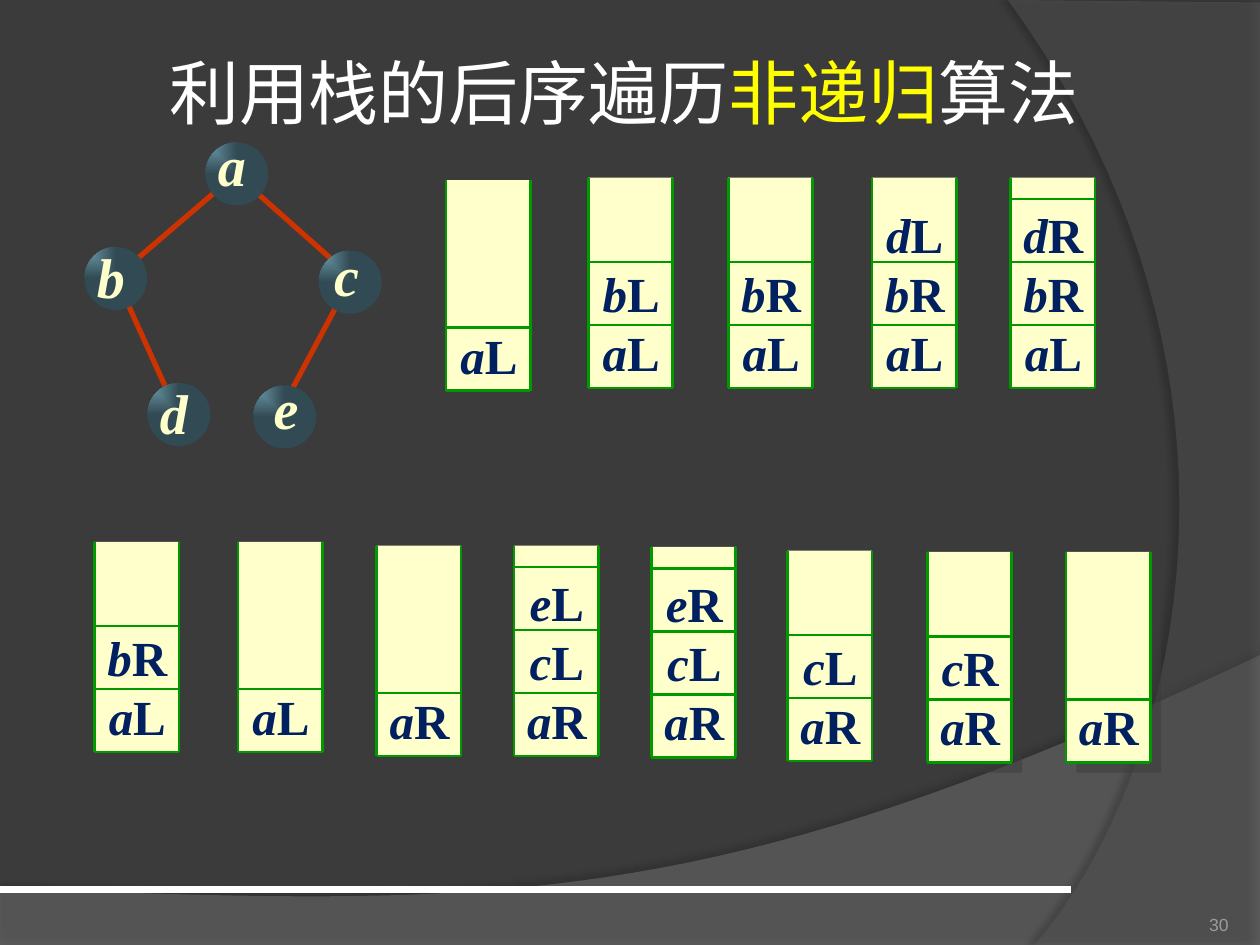
from dataclasses import dataclass

from lxml import etree
from pptx import Presentation
from pptx.dml.color import RGBColor
from pptx.enum.shapes import MSO_CONNECTOR, MSO_SHAPE
from pptx.enum.text import MSO_ANCHOR, PP_ALIGN
from pptx.oxml.ns import qn
from pptx.util import Emu, Inches, Pt

STRAIGHT = MSO_CONNECTOR.STRAIGHT
RECTANGLE, OVAL = MSO_SHAPE.RECTANGLE, MSO_SHAPE.OVAL
CENTER, RIGHT = PP_ALIGN.CENTER, PP_ALIGN.RIGHT
MIDDLE, BOTTOM = MSO_ANCHOR.MIDDLE, MSO_ANCHOR.BOTTOM

WIDTH, HEIGHT = Inches(10), Inches(7.5)
COLUMNS, ROWS = 10, 7.5
CELL_WIDTH, CELL_HEIGHT, STACK_HEIGHT = 0.67, 0.5, 1.67
NODE_SIZE = 0.5


@dataclass(frozen=True)
class Theme:
    """Colours, fonts and type sizes of the slide."""
    background: str = "3B3B3B"
    lower_wave: str = "7F7F7F"
    side_wave: str = "5E5E5E"
    wave_shadow: str = "000000"
    white: str = "FFFFFF"
    highlight: str = "FFFF00"
    page: str = "9D9B9A"
    cream: str = "FFFFCC"
    stack_edge: str = "009900"
    stack_text: str = "002060"
    tree_edge: str = "CC3300"
    node_light: str = "6EA0B0"
    node_dark: str = "324A53"
    title_font: str = "Cabin"
    label_font: str = "Times New Roman"
    page_font: str = "Arial"
    title_size: float = 40
    node_size: float = 32
    stack_size: float = 28
    page_size: float = 10


THEME = Theme()

STACKS = [
    (3.54, 1.43, "aL", 1), (4.67, 1.41, "bL aL", 2), (5.78, 1.41, "bR aL", 2),
    (6.92, 1.41, "dL bR aL", 2), (8.02, 1.41, "dR bR aL", 3),
    (0.75, 4.3, "bR aL", 2), (1.89, 4.3, "aL", 1), (2.99, 4.33, "aR", 1),
    (4.08, 4.33, "eL cL aR", 3), (5.17, 4.34, "eR cL aR", 3),
    (6.25, 4.37, "cL aR", 2), (7.36, 4.38, "cR aR", 2), (8.46, 4.38, "aR", 1),
]
BRANCHES = [
    (2.07, 1.17, 1.61, 2.03), (0.33, 1.25, 0.67, 2),
    (1.3, 0.34, 2.01, 0.97), (1.1, 0.34, 0.33, 1),
]
NODES = [
    ("a", 0.96, 0, 0, -0.14), ("b", 0, 0.83, 0, -0.08),
    ("e", 1.34, 1.93, 0.05, -0.14), ("c", 1.86, 0.86, 0.01, -0.13),
    ("d", 0.5, 1.91, 0, -0.08),
]


def across(columns):
    """Turn grid columns into a horizontal length."""
    return Emu(round(columns * WIDTH / COLUMNS))


def down(rows):
    """Turn grid rows into a vertical length."""
    return Emu(round(rows * HEIGHT / ROWS))


def place(left, top, width, height):
    """Turn a grid box into slide lengths."""
    return across(left), down(top), across(width), down(height)


def rgb(colour):
    """Read a hex colour."""
    return RGBColor.from_string(colour)


def cast_shadow(shape, colour, opacity, blur, distance, angle):
    """Give a shape an outer shadow."""
    shape.shadow.inherit = False
    effects = shape._element.spPr.find(qn("a:effectLst"))
    outer = etree.SubElement(
        effects, qn("a:outerShdw"), blurRad=str(Pt(blur)), dist=str(Pt(distance)),
        dir=str(angle * 60000), algn="ctr", rotWithShape="0")
    tint = etree.SubElement(outer, qn("a:srgbClr"), val=colour)
    etree.SubElement(tint, qn("a:alpha"), val=str(opacity * 1000))


def add_rule(shapes, start_x, start_y, end_x, end_y, colour, weight):
    """Draw a straight line between two grid points."""
    rule = shapes.add_connector(
        STRAIGHT, across(start_x), down(start_y), across(end_x), down(end_y))
    rule.line.color.rgb = rgb(colour)
    rule.line.width = Pt(weight)
    etree.SubElement(rule._element.spPr, qn("a:effectLst"))


def add_text(shapes, box, lines, font, size, colour, align=CENTER, anchor=MIDDLE,
             bold=None, italic=None, inset=0, wrap=False):
    """Write lines, each a list of (text, font overrides) pieces."""
    frame = shapes.add_textbox(*place(*box)).text_frame
    frame.word_wrap = wrap
    frame.vertical_anchor = anchor
    frame.margin_left = frame.margin_right = Inches(inset)
    frame.margin_top = frame.margin_bottom = Inches(inset)
    for index, pieces in enumerate(lines):
        line = frame.add_paragraph() if index else frame.paragraphs[0]
        line.alignment = align
        line.font.name, line.font.size = font, Pt(size)
        line.font.bold, line.font.italic = bold, italic
        line.font.color.rgb = rgb(colour)
        for words, overrides in pieces:
            piece = line.add_run()
            piece.text = words
            if "italic" in overrides:
                piece.font.italic = overrides["italic"]
            if "colour" in overrides:
                piece.font.color.rgb = rgb(overrides["colour"])


def curve(start, bend_out, bend_in, end, steps=40):
    """List the points of a cubic curve after its start."""
    shares = [step / steps for step in range(1, steps + 1)]
    return [tuple((1 - t) ** 3 * p + 3 * (1 - t) ** 2 * t * q
                  + 3 * (1 - t) * t * t * r + t ** 3 * s
                  for p, q, r, s in zip(start, bend_out, bend_in, end))
            for t in shares]


def add_wave(shapes, points, colour, opacity, shadow):
    """Draw a translucent backdrop outline."""
    first, *rest = [(across(x), down(y)) for x, y in points]
    builder = shapes.build_freeform(*first)
    builder.add_line_segments(rest, close=True)
    wave = builder.convert_to_shape()
    wave.fill.solid()
    wave.fill.fore_color.rgb = rgb(colour)
    tint = wave._element.spPr.find(qn("a:solidFill"))[0]
    etree.SubElement(tint, qn("a:alpha"), val=str(opacity * 1000))
    wave.line.fill.background()
    cast_shadow(wave, THEME.wave_shadow, *shadow)


def add_backdrop(shapes):
    """Draw the two waves, the bottom bar and the page number."""
    lower = [(0, 7.05), (0, 7.5), (10, 7.5), (10, 5.2)]
    lower += curve((10, 5.2), (5.59, 7.29), (3.91, 7.19), (0, 7.05))
    add_wave(shapes, lower, THEME.lower_wave, 45, (35, 4, 3.5, 270))
    side = [(10, 0.02), (10, 7.5), (8.21, 7.5)]
    side += curve((8.21, 7.5), (9.35, 6.19), (10.18, 3), (8, 0))
    add_wave(shapes, side, THEME.side_wave, 40, (45, 4, 4, 180))
    add_rule(shapes, 0, 7.06, 8.5, 7.06, THEME.white, 4.5)
    add_text(shapes, (8.92, 7.02, 0.83, 0.4), [[("30", {})]], THEME.page_font,
             THEME.page_size, THEME.page, RIGHT, BOTTOM, wrap=True)


def add_title(shapes, box):
    """Write the heading with its highlighted words."""
    heading = [("利用栈的后序遍历", {}), ("非递归", {"colour": THEME.highlight}),
               ("算法", {})]
    add_text(shapes, box, [heading], THEME.title_font, THEME.title_size,
             THEME.white, inset=0.05, wrap=True)


def add_stack(shapes, left, top, entries, dividers):
    """Draw an open-topped stack with its entries resting on the floor."""
    right, floor = left + CELL_WIDTH, top + STACK_HEIGHT
    body = shapes.add_shape(RECTANGLE, *place(left, top, CELL_WIDTH, STACK_HEIGHT))
    body.fill.solid()
    body.fill.fore_color.rgb = rgb(THEME.cream)
    body.line.fill.background()
    cast_shadow(body, THEME.background, 50, 0, 8.5, 45)
    levels = [floor - CELL_HEIGHT * level for level in range(dividers + 1)]
    edges = [(side, top, side, floor) for side in (left, right)]
    edges += [(left, level, right, level) for level in levels]
    for edge in edges:
        add_rule(shapes, *edge, THEME.stack_edge, 1.5)
    lines = [[(node, {}), (tag, {"italic": False})] for node, tag in entries.split()]
    text_height = 0.1 + 0.47 * len(lines)
    add_text(shapes, (left, floor - text_height, 0.68, text_height), lines,
             THEME.label_font, THEME.stack_size, THEME.stack_text,
             bold=True, italic=True, inset=0.05)


def add_tree(shapes, left, top):
    """Draw the binary tree with branches behind its nodes."""
    for start_x, start_y, end_x, end_y in BRANCHES:
        add_rule(shapes, left + start_x, top + start_y, left + end_x, top + end_y,
                 THEME.tree_edge, 3)
    for letter, x, y, shift_x, shift_y in NODES:
        node = shapes.add_shape(
            OVAL, *place(left + x, top + y, NODE_SIZE, NODE_SIZE))
        node.shadow.inherit = False
        node.line.fill.background()
        node.fill.gradient()
        for stop, colour in zip(node.fill.gradient_stops,
                                (THEME.node_light, THEME.node_dark)):
            stop.color.rgb = rgb(colour)
        gradient = node._element.spPr.find(qn("a:gradFill"))
        gradient.remove(gradient.find(qn("a:lin")))
        focus = etree.SubElement(gradient, qn("a:path"), path="rect")
        etree.SubElement(focus, qn("a:fillToRect"), r="100000", b="100000")
        add_text(shapes, (left + x + shift_x, top + y + shift_y, 0.42, 0.63),
                 [[(letter, {})]], THEME.label_font, THEME.node_size, THEME.cream,
                 bold=True, italic=True, inset=0.05)


def main():
    """Build the slide and save it."""
    deck = Presentation()
    deck.slide_width, deck.slide_height = WIDTH, HEIGHT
    slide = deck.slides.add_slide(deck.slide_layouts[6])
    slide.background.fill.solid()
    slide.background.fill.fore_color.rgb = rgb(THEME.background)
    add_backdrop(slide.shapes)
    for stack in STACKS:
        add_stack(slide.shapes.add_group_shape().shapes, *stack)
    add_tree(slide.shapes.add_group_shape().shapes, 0.67, 1.13)
    add_title(slide.shapes, (0.45, 0.28, 9, 0.9))
    deck.save("out.pptx")


if __name__ == "__main__":
    main()
